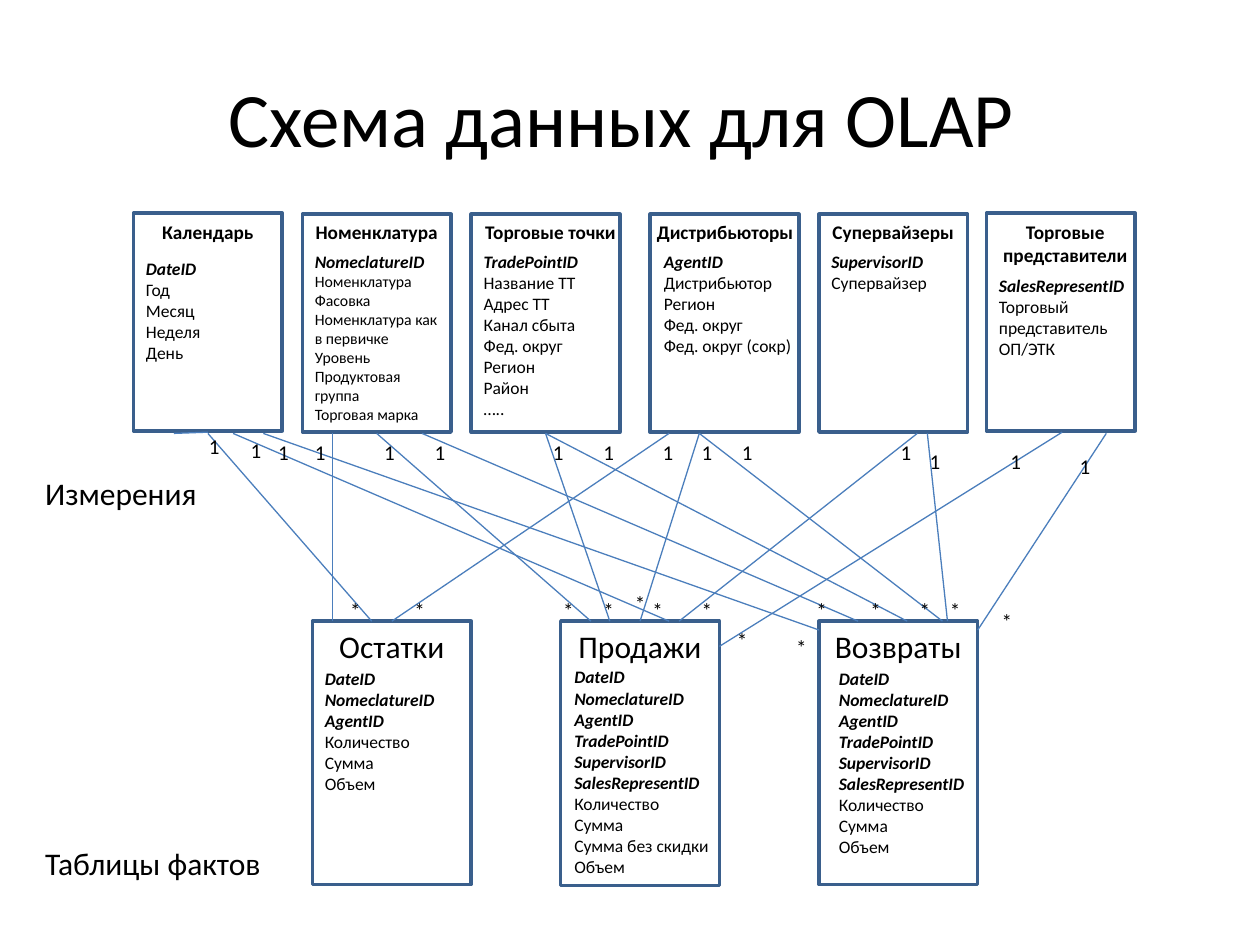
import pptx
import pptx.util
import pptx.dml.color
import pptx.enum.shapes
import pptx.enum.text
import lxml.etree
from dataclasses import dataclass


@dataclass(frozen=True)
class Theme:
    font: str = "Calibri"
    ink: str = "000000"
    border: str = "3A5F8C"
    link: str = "4B7EBC"
    title: int = 44
    section: int = 18
    mark: int = 12
    heading: int = 11
    body: int = 10
    small: int = 9
    border_width: float = 2
    link_width: float = 0.75


THEME = Theme()
COLUMNS, ROWS = 100, 75
ALIGN = pptx.enum.text.PP_ALIGN
ANCHOR = pptx.enum.text.MSO_ANCHOR

deck = pptx.Presentation()
deck.slide_width = pptx.util.Inches(10)
deck.slide_height = pptx.util.Inches(7.5)
slide = deck.slides.add_slide(deck.slide_layouts[6])


def place(*cells):
    units = (deck.slide_width / COLUMNS, deck.slide_height / ROWS)
    return [round(cell * units[i % 2]) for i, cell in enumerate(cells)]


def color(code):
    return pptx.dml.color.RGBColor.from_string(code)


def write(box, lines, size=THEME.body, align=ALIGN.LEFT, bold=False, keys=0,
          first_size=None, anchor=ANCHOR.TOP, wrap=True):
    frame = slide.shapes.add_textbox(*place(*box)).text_frame
    frame.word_wrap = wrap
    frame.vertical_anchor = anchor
    for index, line in enumerate(lines):
        paragraph = frame.add_paragraph() if index else frame.paragraphs[0]
        paragraph.text = line
        paragraph.alignment = align
        for run in paragraph.runs:
            run.font.name = THEME.font
            run.font.size = pptx.util.Pt(first_size if first_size and not index else size)
            run.font.bold = bold or index < keys
            run.font.italic = index < keys
            run.font.color.rgb = color(THEME.ink)


def entity(box, heading, fields, keys, heading_size, heading_box, body_box, body_size=THEME.body):
    left, top, width, height = box
    outline = slide.shapes.add_shape(pptx.enum.shapes.MSO_SHAPE.RECTANGLE, *place(*box))
    outline.shadow.inherit = False
    outline.fill.background()
    outline.line.color.rgb = color(THEME.border)
    outline.line.width = pptx.util.Pt(THEME.border_width)

    def inside(part):
        dx, dy, w, h = part
        return left + dx, top + dy, w, h

    write(inside(heading_box), [heading], size=heading_size, align=ALIGN.CENTER,
          bold=heading_size == THEME.heading)
    write(inside(body_box), fields, size=body_size, keys=keys, first_size=THEME.body)


def dimension(left, top, heading, fields, heading_dx=0, heading_width=11.8,
              body_dx=0, body_dy=2.4, body_width=11.8, body_size=THEME.body):
    entity((left, top, 11.8, 17.3), heading, fields, 1, THEME.heading,
           (heading_dx, 17 - top, heading_width, 2.9),
           (body_dx, body_dy, body_width, 14.5), body_size)


def fact(left, heading, keys, measures, body_dx=0, body_dy=3.2, height=20.9):
    entity((left, 49.3, 12.6, height), heading, keys + measures, len(keys), THEME.section,
           (0, 0, 12.6, 4), (body_dx, body_dy, 13.4, 17.8))


def link(start_x, start_y, end_x, end_y):
    line = slide.shapes.add_connector(pptx.enum.shapes.MSO_CONNECTOR.STRAIGHT,
                                      *place(start_x, start_y, end_x, end_y))
    line.line.color.rgb = color(THEME.link)
    line.line.width = pptx.util.Pt(THEME.link_width)
    lxml.etree.SubElement(
        line._element.spPr,
        "{http://schemas.openxmlformats.org/drawingml/2006/main}effectLst")


def marks(symbol, rows):
    for top, lefts in rows.items():
        for left in lefts:
            write((left, top, 2.9, 3), [symbol], size=THEME.mark)


def dimensions():
    dimension(10.6, 16.9, "Календарь", ["DateID", "Год", "Месяц", "Неделя", "День"], body_dy=3.1)
    dimension(24, 17, "Номенклатура",
              ["NomeclatureID", "Номенклатура", "Фасовка",
               "Номенклатура как в первичке Уровень", "Продуктовая группа",
               "Торговая марка"], body_size=THEME.small)
    dimension(37.4, 17, "Торговые точки",
              ["TradePointID", "Название ТТ\vАдрес ТТ", "Канал сбыта", "Фед. округ",
               "Регион", "Район", "….."], heading_width=12.6)
    dimension(51.6, 17, "Дистрибьюторы",
              ["AgentID", "Дистрибьютор", "Регион", "Фед. округ", "Фед. округ (сокр)"],
              heading_dx=-0.8, heading_width=13.5, body_dx=0.1, body_width=12.5)
    dimension(65, 17, "Супервайзеры", ["SupervisorID", "Супервайзер"])
    dimension(78.3, 16.9, "Торговые представители",
              ["SalesRepresentID", "Торговый представитель", "ОП/ЭТК"],
              heading_width=12.5, body_dy=4.4, body_width=12.5)


def facts():
    stock_keys = ["DateID", "NomeclatureID", "AgentID"]
    trade_keys = stock_keys + ["TradePointID", "SupervisorID", "SalesRepresentID"]
    measures = ["Количество", "Сумма", "Объем"]
    fact(24.8, "Остатки", stock_keys, measures)
    fact(44.5, "Продажи", trade_keys, measures[:2] + ["Сумма без скидки", "Объем"],
         body_dx=0.1, body_dy=3.1, height=21)
    fact(65, "Возвраты", trade_keys, measures, body_dx=0.6)


def relations():
    for start, end in [(26.4, 26.4), (29.9, 46.9), (33.5, 68.1), (43.3, 48.4), (43.3, 72),
                       (55.5, 50.8), (53.1, 31.1), (55.5, 74.8), (72.8, 53.9),
                       (73.6, 75.2), (16.5, 29.5), (18.5, 53.1)]:
        link(start, 34.4, end, 49.3)
    for ends in [(13.8, 34.4, 16.5, 34.3), (20.9, 34.4, 65, 50),
                 (84.3, 34.3, 57.1, 51.3), (87.8, 34.4, 77.6, 50)]:
        link(*ends)
    marks("1", {33.9: [15.6], 34.2: [18.9],
                34.4: [21.1, 24, 29.5, 33.5, 42.9, 46.9, 51.6, 54.7, 57.9, 70.5],
                35.1: [72.8, 79.2], 35.5: [84.7]})
    marks("*", {46.4: [49.4],
                46.9: [26.8, 31.9, 43.7, 46.9, 50.8, 54.7, 63.8, 68.1, 72, 74.4],
                47.8: [78.5], 49.3: [57.5], 49.9: [62.2]})


write((5, 3, 90, 12.5), ["Схема данных для OLAP "], size=THEME.title,
      align=ALIGN.CENTER, anchor=ANCHOR.MIDDLE)
dimensions()
facts()
relations()
write((2.6, 37.1, 14.2, 4), ["Измерения"], size=THEME.section, wrap=False)
write((2.6, 66.5, 19.3, 4), ["Таблицы фактов"], size=THEME.section, wrap=False)
deck.save("out.pptx")
